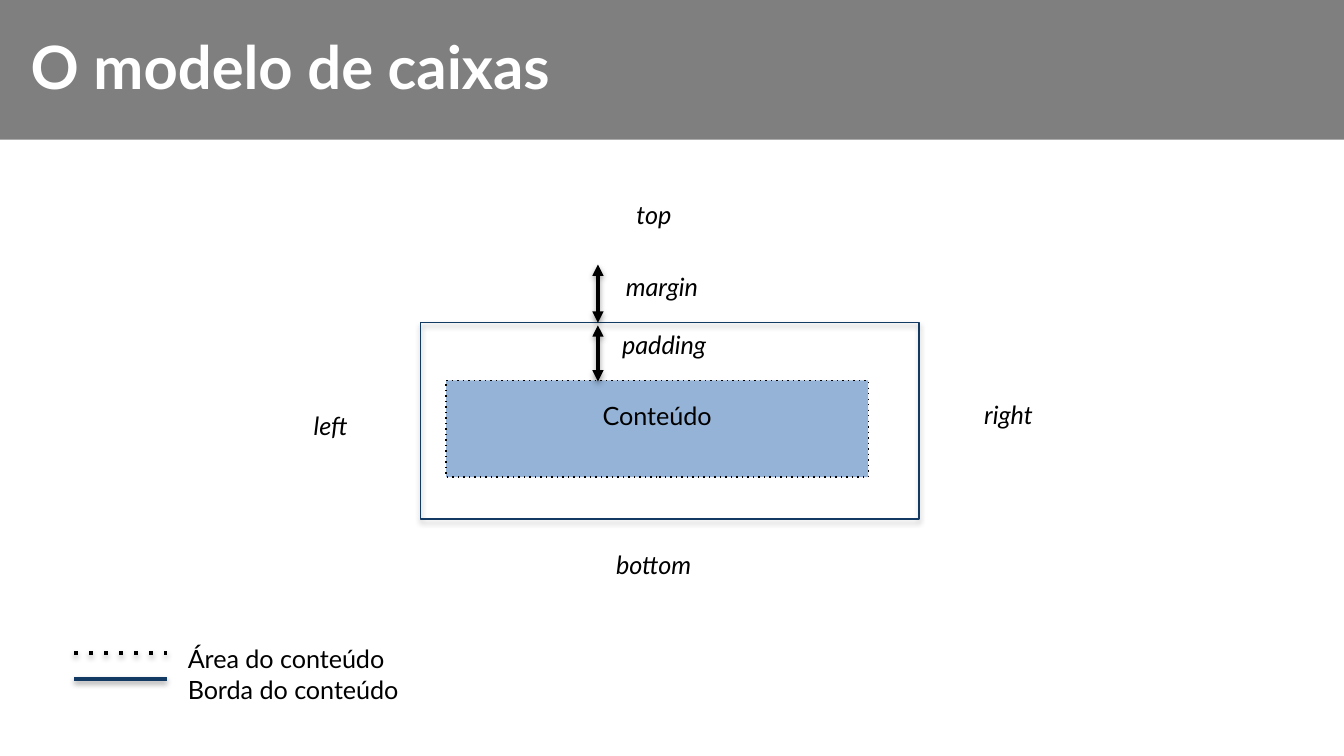
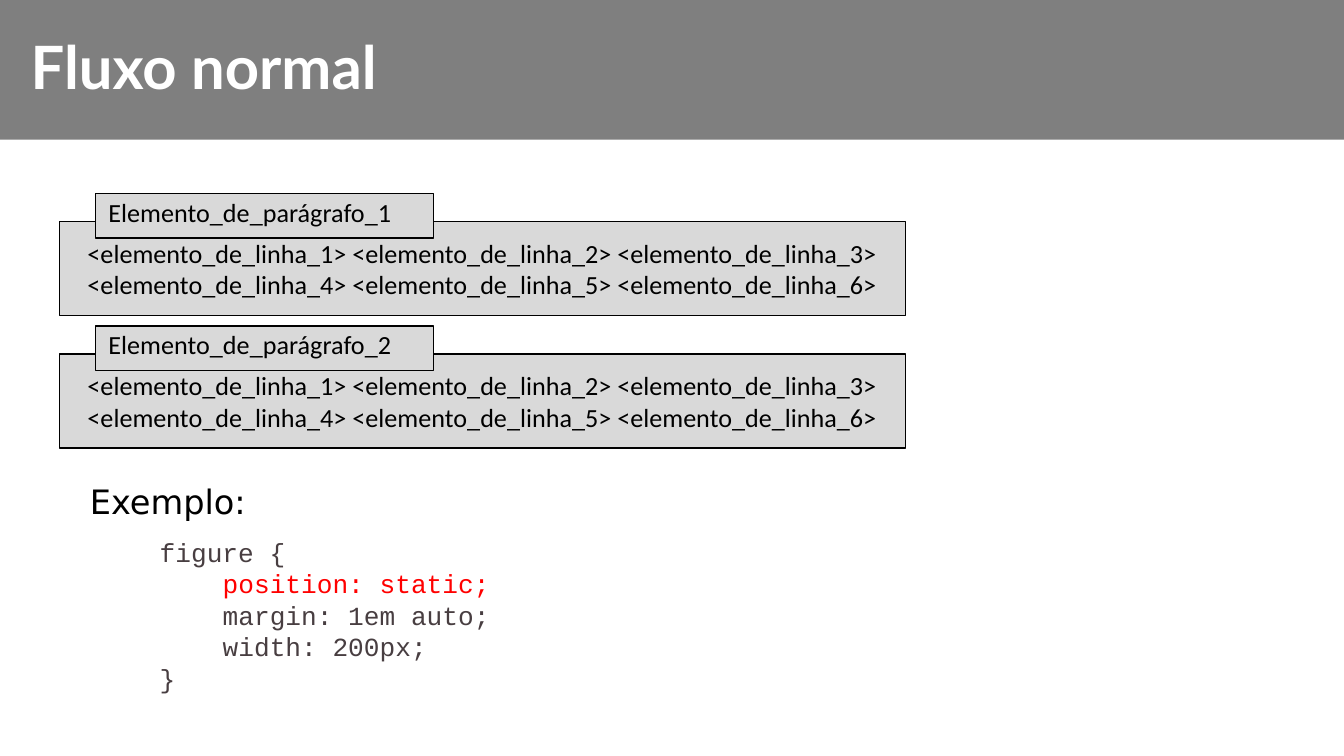
from lxml.etree import SubElement
from pptx import Presentation
from pptx.dml.color import RGBColor
from pptx.enum.shapes import MSO_CONNECTOR, MSO_SHAPE
from pptx.enum.text import MSO_ANCHOR, MSO_AUTO_SIZE, PP_ALIGN
from pptx.oxml.ns import qn
from pptx.util import Cm, Pt

# Shared look
WHITE, BLACK, BAND_GREY = "FFFFFF", "000000", "7F7F7F"
NAVY, BLUE, LIGHT_GREY = "123A62", "95B3D7", "D9D9D9"
CODE_GREY, RED = "483E41", "FF0000"
PAGE_SIZE = (25.4, 14.29)
BAND_AREA = (0, 0, 25.4, 2.64)
TITLE_AREA = (0.33, 0.05, 24.71, 2.39)
INSETS = (0.25, 0.13)
TITLE_FONT = dict(name="Lato", size=Pt(32), bold=True)
LABEL_FONT = dict(name="Lato", size=Pt(13.5))
SIDE_FONT = dict(LABEL_FONT, italic=True)
BOX_FONT = dict(name="Calibri", size=Pt(14))
CODE_FONT = dict(name="Courier New", size=Pt(14))
HEADING_FONT = dict(name="DejaVu Sans", size=Pt(18))

# Box model: areas are left, top, width, height in centimetres
MODEL_TITLE = "O modelo de caixas"
LEGEND = ["Área do conteúdo", "Borda do conteúdo"]
LEGEND_AREA = (3.3, 12.04, 4.8, 1.42)
LEGEND_LINES = [(12.34, BLACK, True), (12.83, NAVY, False)]
LEGEND_SPAN = (1.4, 3.15)
CONTENT_AREA = (8.43, 7.19, 7.98, 1.83)
BORDER_AREA = (7.95, 6.1, 9.42, 3.71)
LABEL_HEIGHT = 1.14
SIDE_LABELS = [
    ("padding", 11.51, 6.1, 2.24, PP_ALIGN.LEFT),
    ("margin", 11.58, 5, 2.03, PP_ALIGN.LEFT),
    ("top", 11.46, 3.63, 1.8, PP_ALIGN.CENTER),
    ("left", 5.59, 7.62, 1.32, PP_ALIGN.CENTER),
    ("right", 18.16, 7.42, 1.8, PP_ALIGN.CENTER),
    ("bottom", 11.3, 10.26, 2.11, PP_ALIGN.CENTER),
]
ARROW_LEFT = 11.3
ARROW_SPANS = [(6.15, 7.21), (5, 6.1)]

# Normal flow
FLOW_TITLE = "Fluxo normal"
BLOCKS = ["Elemento_de_parágrafo_1", "Elemento_de_parágrafo_2"]
INLINE_TEXT = " ".join(f"<elemento_de_linha_{number}>" for number in range(1, 7))
BLOCK_AREA = (1.12, 4.19, 16, 1.78)
TAB_AREA = (1.8, 3.66, 6.4, 0.84)
BLOCK_PITCH = 2.5
EXAMPLE_AREA = (1.45, 8.97, 3.56, 1.02)
CODE_AREA = (2.77, 10.01, 12.7, 3.25)
CODE_INDENT = 1.19
CODE_LINES = [  # text, indent level, colour
    ("figure {", 0, CODE_GREY),
    ("position: static;", 1, RED),
    ("margin: 1em auto;", 1, CODE_GREY),
    ("width: 200px;", 1, CODE_GREY),
    ("}", 0, CODE_GREY),
]


def colour(value):
    """Turn a hex string into a colour."""
    return RGBColor.from_string(value)


def apply_format(target, values):
    """Set every attribute named in a dict."""
    for name, value in values.items():
        setattr(target, name, value)


def lengths(area):
    """Turn centimetres into slide lengths."""
    return [Cm(value) for value in area]


def write(box, lines, font, ink=BLACK, align=PP_ALIGN.LEFT,
          anchor=MSO_ANCHOR.TOP, insets=INSETS):
    """Fill a shape with one paragraph per line and return the paragraphs."""
    side, end = lengths(insets)
    frame = box.text_frame
    apply_format(frame, dict(word_wrap=True, auto_size=MSO_AUTO_SIZE.NONE,
                             vertical_anchor=anchor, margin_left=side,
                             margin_right=side, margin_top=end, margin_bottom=end))
    frame.text = "\n".join(lines)
    for para in frame.paragraphs:
        para.alignment = align
        for span in para.runs:
            apply_format(span.font, font)
            span.font.color.rgb = colour(ink)
    return frame.paragraphs


def add_label(page, area, lines, font, **options):
    """Add a text box and return its paragraphs."""
    return write(page.shapes.add_textbox(*lengths(area)), lines, font, **options)


def style_line(shape, ink, width, dotted=False, arrows=False):
    """Set the colour, width, dots and arrowheads of an outline or connector."""
    shape.line.color.rgb = colour(ink)
    shape.line.width = Pt(width)
    outline = shape.element.spPr.find(qn("a:ln"))
    if dotted:
        SubElement(outline, qn("a:prstDash"), val="dot")
    if arrows:
        for end in ("a:headEnd", "a:tailEnd"):
            SubElement(outline, qn(end), type="triangle")


def set_shadow(shape, opacity=0):
    """Replace the theme shadow by a soft one below, or by none."""
    properties = shape.element.spPr
    for old in properties.findall(qn("a:effectLst")):
        properties.remove(old)
    effects = SubElement(properties, qn("a:effectLst"))
    if opacity:
        shadow = SubElement(effects, qn("a:outerShdw"), blurRad=str(Pt(3.1)),
                            dist=str(Pt(1.6)), dir="5400000", rotWithShape="0")
        ink = SubElement(shadow, qn("a:srgbClr"), val=BLACK)
        SubElement(ink, qn("a:alpha"), val=str(opacity * 1000))


def add_box(page, area, fill=None, line=None, dotted=False, shadow=0):
    """Add a rectangle with an optional fill, outline and shadow."""
    box = page.shapes.add_shape(MSO_SHAPE.RECTANGLE, *lengths(area))
    if fill:
        box.fill.solid()
        box.fill.fore_color.rgb = colour(fill)
    else:
        box.fill.background()
    if line:
        style_line(box, line, 0.75, dotted)
    else:
        box.line.fill.background()
    set_shadow(box, shadow)
    return box


def add_line(page, ends, ink, **options):
    """Add a straight shadowed line from x, y to x, y."""
    line = page.shapes.add_connector(MSO_CONNECTOR.STRAIGHT, *lengths(ends))
    style_line(line, ink, 2, **options)
    set_shadow(line, 38)


def add_page(deck, layout, title):
    """Add a slide with its title on the band."""
    page = deck.slides.add_slide(layout)
    box = page.shapes.title
    apply_format(box, dict(zip(("left", "top", "width", "height"),
                               lengths(TITLE_AREA))))
    write(box, [title], TITLE_FONT, ink=WHITE, anchor=MSO_ANCHOR.MIDDLE)
    return page


def move_band_to_layout(page, layout):
    """Draw the title band and hand it to the layout, behind everything."""
    band = add_box(page, BAND_AREA, fill=BAND_GREY)
    layout.shapes.element.insert(2, band.element)


def draw_box_model(page):
    """Draw the nested boxes, their labels and the legend."""
    add_label(page, LEGEND_AREA, LEGEND, LABEL_FONT)
    start, end = LEGEND_SPAN
    for top, ink, dotted in LEGEND_LINES:
        add_line(page, (start, top, end, top), ink, dotted=dotted)
    content = add_box(page, CONTENT_AREA, fill=BLUE, line=BLACK, dotted=True)
    write(content, ["Conteúdo"], LABEL_FONT, align=PP_ALIGN.CENTER,
          insets=(0.38, 0.38))
    for text, left, top, width, align in SIDE_LABELS:
        add_label(page, (left, top, width, LABEL_HEIGHT), [text], SIDE_FONT,
                  align=align)
    add_box(page, BORDER_AREA, line=NAVY, shadow=35)
    for top, bottom in ARROW_SPANS:
        add_line(page, (ARROW_LEFT, top, ARROW_LEFT, bottom), BLACK, arrows=True)


def draw_normal_flow(page):
    """Draw the stacked block elements and the code example."""
    for index, name in enumerate(BLOCKS):
        for area, text, align, anchor, insets in (
            (BLOCK_AREA, INLINE_TEXT, PP_ALIGN.CENTER, MSO_ANCHOR.MIDDLE, (0.25, 0.1)),
            (TAB_AREA, name, PP_ALIGN.LEFT, MSO_ANCHOR.TOP, (0.25, 0.05)),
        ):
            left, top, width, height = area
            box = add_box(page, (left, top + index * BLOCK_PITCH, width, height),
                          fill=LIGHT_GREY, line=BLACK)
            write(box, [text], BOX_FONT, align=align, anchor=anchor, insets=insets)
    code = add_label(page, CODE_AREA, [line[0] for line in CODE_LINES], CODE_FONT)
    for para, (_, level, ink) in zip(code, CODE_LINES):
        para.line_spacing = Pt(16.8)
        para.runs[0].font.color.rgb = colour(ink)
        para._p.get_or_add_pPr().set("marL", str(Cm(level * CODE_INDENT)))
    add_label(page, EXAMPLE_AREA, ["Exemplo:"], HEADING_FONT)


def main():
    """Build and save the deck."""
    deck = Presentation()
    deck.slide_width, deck.slide_height = lengths(PAGE_SIZE)
    layout = deck.slide_layouts.get_by_name("Title Only")
    model_page = add_page(deck, layout, MODEL_TITLE)
    move_band_to_layout(model_page, layout)
    draw_box_model(model_page)
    draw_normal_flow(add_page(deck, layout, FLOW_TITLE))
    deck.save("out.pptx")


main()
